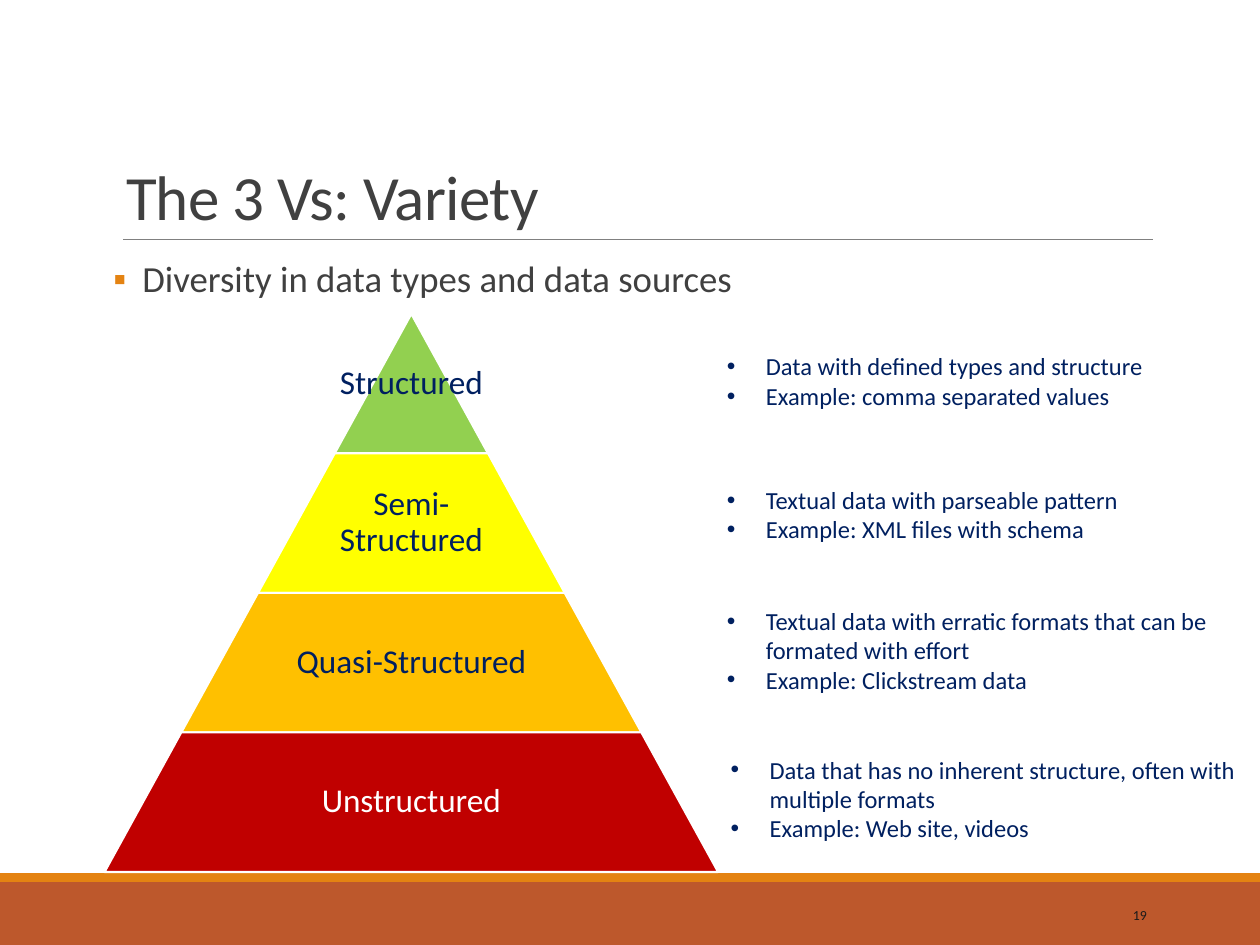
from lxml.etree import SubElement
from pptx import Presentation
from pptx.dml.color import RGBColor
from pptx.enum.shapes import MSO_CONNECTOR as Connector, MSO_SHAPE as Shape
from pptx.enum.text import MSO_ANCHOR as Anchor, MSO_AUTO_SIZE as AutoSize, PP_ALIGN as Align
from pptx.oxml.ns import qn
from pptx.util import Inches, Pt

WIDTH, HEIGHT = 10, 7.5
FONT = "Calibri"
COLORS = {
    "band": "BD582C", "accent": "E48312", "rule": "808080", "text": "404040",
    "navy": "002060", "white": "FFFFFF", "number": "1A1A1A",
    "green": "92D050", "yellow": "FFFF00", "amber": "FFC000", "red": "C00000",
}
# Label, fill, label colour; top tier first
TIERS = [
    ("Structured", "green", "navy"),
    ("Semi-Structured", "yellow", "navy"),
    ("Quasi-Structured", "amber", "navy"),
    ("Unstructured", "red", "white"),
]
# Left, top, height, bullet lines
NOTES = [
    (5.67, 2.74, 0.57, ["Data with defined types and structure",
                        "Example: comma separated values"]),
    (5.67, 3.8, 0.57, ["Textual data with parseable pattern",
                       "Example: XML files with schema"]),
    (5.67, 4.76, 0.81, ["Textual data with erratic formats that can be formated with effort",
                        "Example: Clickstream data"]),
    (5.7, 5.94, 0.81, ["Data that has no inherent structure, often with multiple formats",
                       "Example: Web site, videos"]),
]


def color(name):
    return RGBColor.from_string(COLORS[name])


def inches(box):
    return [Inches(value) for value in box]


def add_bullet(paragraph, character, indent, bullet_color):
    properties = paragraph._p.get_or_add_pPr()
    properties.set("marL", str(Inches(indent)))
    properties.set("indent", str(-Inches(indent)))
    fill = SubElement(properties, qn("a:buClr"))
    SubElement(fill, qn("a:srgbClr"), val=COLORS[bullet_color])
    SubElement(properties, qn("a:buFont"), typeface="Arial")
    SubElement(properties, qn("a:buChar"), char=character)


def format_paragraph(paragraph, size, text_color, align=Align.LEFT, spacing=1.0):
    paragraph.alignment = align
    paragraph.line_spacing = spacing
    paragraph.space_before = Pt(0)
    for run in paragraph.runs:
        run.font.name = FONT
        run.font.size = Pt(size)
        run.font.color.rgb = color(text_color)


def place(shape, box):
    shape.left, shape.top, shape.width, shape.height = inches(box)


def add_text_box(slide, box, text, anchor=Anchor.TOP, margin=None):
    frame = slide.shapes.add_textbox(*inches(box)).text_frame
    frame.word_wrap = True
    frame.vertical_anchor = anchor
    if margin is not None:
        frame.margin_left = frame.margin_right = Inches(margin)
        frame.margin_top = frame.margin_bottom = Inches(margin)
    frame.text = text
    return frame


def add_filled(slide, kind, box, fill):
    shape = slide.shapes.add_shape(kind, *inches(box))
    shape.shadow.inherit = False
    shape.fill.solid()
    shape.fill.fore_color.rgb = color(fill)
    shape.line.fill.background()
    return shape


def add_footer(slide, box, number):
    left, top, width, height = box
    stripe = 0.07
    add_filled(slide, Shape.RECTANGLE, (left, top + stripe, width, height - stripe), "band")
    add_filled(slide, Shape.RECTANGLE, (left, top, width, stripe), "accent")
    number_box = (left + 0.812 * width, top + 0.13, 0.108 * width, 0.4)
    frame = add_text_box(slide, number_box, number, Anchor.MIDDLE)
    format_paragraph(frame.paragraphs[0], 7.9, "number", Align.RIGHT)


def add_heading(slide, box, title, statement):
    left, top, width, height = box
    bottom = top + height

    # Title
    place(slide.shapes.title, box)
    frame = slide.shapes.title.text_frame
    frame.text = title
    frame.auto_size = AutoSize.NONE
    frame.vertical_anchor = Anchor.BOTTOM
    format_paragraph(frame.paragraphs[0], 36, "text", spacing=0.85)
    frame.paragraphs[0].runs[0]._r.get_or_add_rPr().set("spc", "-40")

    # Rule under the title
    ends = inches((left + 0.08, bottom, left + width, bottom))
    rule = slide.shapes.add_connector(Connector.STRAIGHT, *ends)
    rule.line.color.rgb = color("rule")
    rule.line.width = Pt(0.5)
    SubElement(rule._element.spPr, qn("a:effectLst"))

    # Body statement
    body = slide.placeholders[1]
    place(body, (left, bottom + 0.12, width, 4.4))
    frame = body.text_frame
    frame.text = statement
    frame.auto_size = AutoSize.NONE
    frame.margin_left = frame.margin_right = 0
    add_bullet(frame.paragraphs[0], "▪", 0.23, "accent")
    format_paragraph(frame.paragraphs[0], 21, "text", spacing=0.9)


def add_pyramid(slide, box, tiers):
    left, top, width, height = box
    tier_height = height / len(tiers)
    step = width / len(tiers)
    for row, (label, fill, text_color) in enumerate(tiers):
        tier_width = step * (row + 1)
        tier_left = left + (width - tier_width) / 2
        tier_top = top + row * tier_height
        tier = add_filled(slide, Shape.TRAPEZOID,
                          (tier_left, tier_top, tier_width, tier_height), fill)
        tier.adjustments[0] = step / 2 / tier_height
        tier.line.color.rgb = color("white")
        tier.line.width = Pt(1.25)

        # Labels below the top tier keep to the middle 65 %
        label_width = tier_width if row == 0 else 0.65 * tier_width
        label_left = left + (width - label_width) / 2
        frame = add_text_box(slide, (label_left, tier_top, label_width, tier_height),
                             label, Anchor.MIDDLE, 0.03)
        format_paragraph(frame.paragraphs[0], 19, text_color, Align.CENTER, 0.9)


def add_note(slide, box, lines):
    frame = add_text_box(slide, box, "\n".join(lines))
    frame.auto_size = AutoSize.SHAPE_TO_FIT_TEXT
    for paragraph in frame.paragraphs:
        add_bullet(paragraph, "•", 0.31, "navy")
        format_paragraph(paragraph, 14, "navy")


def main():
    presentation = Presentation()
    presentation.slide_width = Inches(WIDTH)
    presentation.slide_height = Inches(HEIGHT)
    slide = presentation.slides.add_slide(presentation.slide_layouts[1])

    add_footer(slide, (0, 6.93, WIDTH, HEIGHT - 6.93), "19")
    add_heading(slide, (0.9, 0.31, 8.25, 1.59), "The 3 Vs: Variety",
                "Diversity in data types and data sources")
    add_pyramid(slide, (0.83, 2.49, 4.87, 4.43), TIERS)
    for left, top, height, lines in NOTES:
        add_note(slide, (left, top, 4.33, height), lines)

    presentation.save("out.pptx")


if __name__ == "__main__":
    main()
